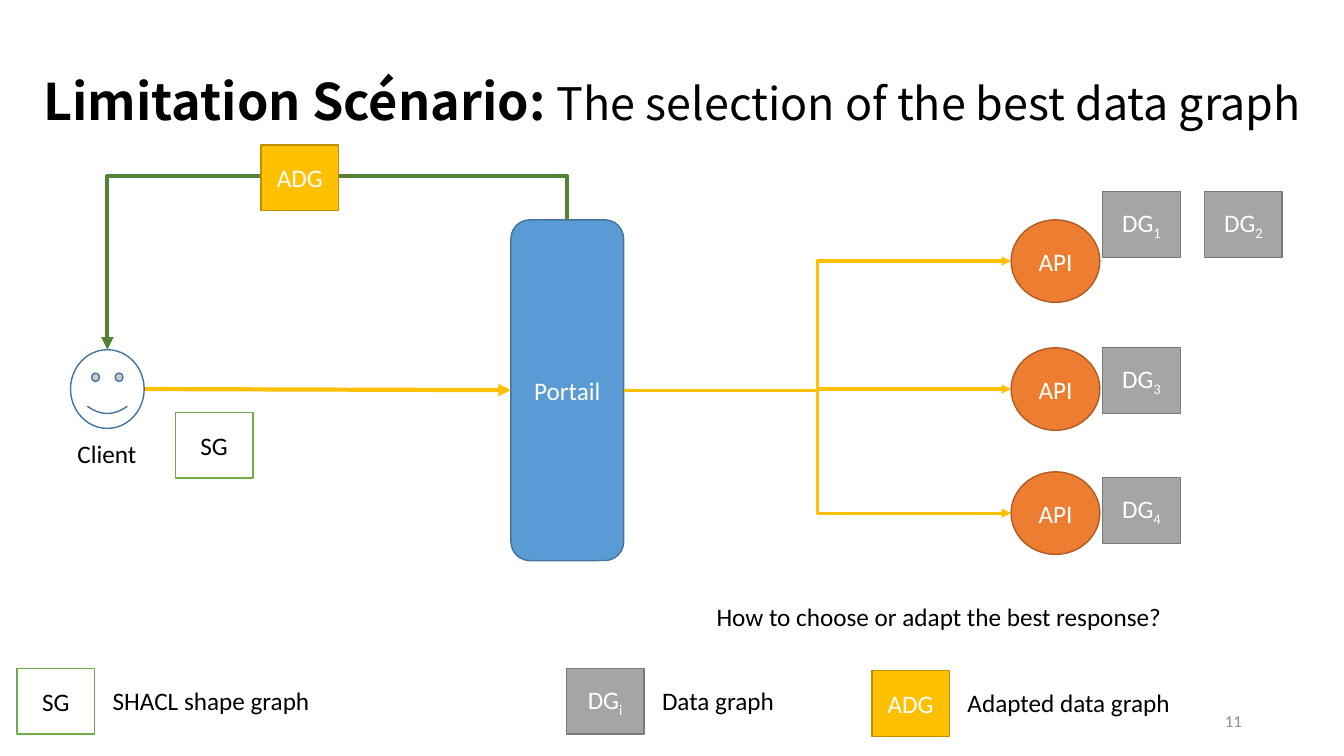
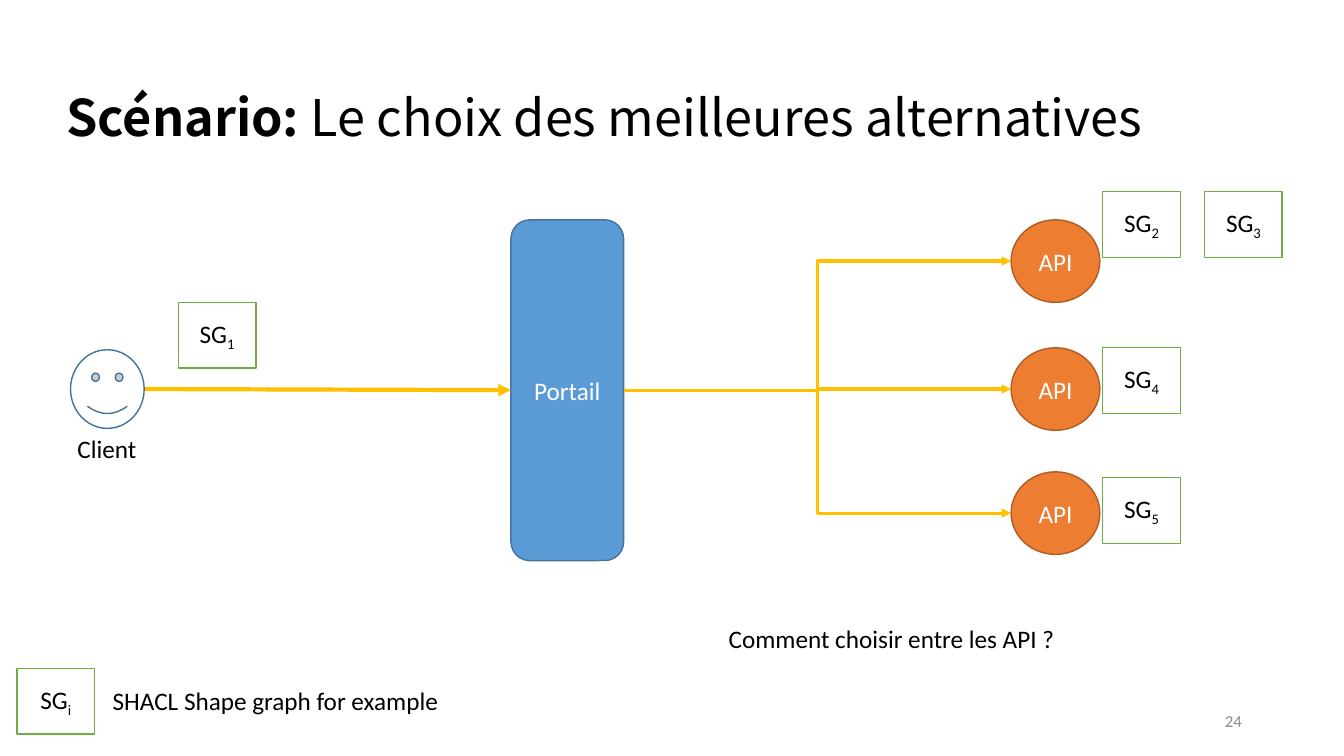
from lxml import etree
from pptx import Presentation
from pptx.dml.color import RGBColor
from pptx.enum.shapes import MSO_CONNECTOR, MSO_SHAPE
from pptx.enum.text import MSO_ANCHOR, MSO_AUTO_SIZE, PP_ALIGN
from pptx.oxml.ns import qn
from pptx.util import Pt

STRAIGHT, ELBOW = MSO_CONNECTOR.STRAIGHT, MSO_CONNECTOR.ELBOW
RECTANGLE, ROUNDED = MSO_SHAPE.RECTANGLE, MSO_SHAPE.ROUNDED_RECTANGLE
ELLIPSE, SMILEY = MSO_SHAPE.OVAL, MSO_SHAPE.SMILEY_FACE
LEFT, CENTER, RIGHT = PP_ALIGN.LEFT, PP_ALIGN.CENTER, PP_ALIGN.RIGHT
TOP, MIDDLE = MSO_ANCHOR.TOP, MSO_ANCHOR.MIDDLE
FIT_SHAPE = MSO_AUTO_SIZE.SHAPE_TO_FIT_TEXT

COLORS = {
    "black": "000000", "white": "FFFFFF", "page_number": "8C8C8C",
    "blue": "5B9BD5", "blue_edge": "43739E",
    "orange": "ED7D31", "orange_edge": "AF5C24",
    "gray": "A5A5A5", "gray_edge": "7A7A7A",
    "gold": "FFC000", "gold_edge": "BD8E00",
    "green_edge": "70AD47", "return": "548235",
}
BODY_FONT, TITLE_FONT = "Calibri", "Noto Sans CJK JP"
CARD_WIDTH, CARD_HEIGHT = 55.4, 47
CARD_STYLES = {  # fill, edge, text
    "SG": ("white", "green_edge", "black"),
    "DG": ("gray", "gray_edge", "white"),
    "ADG": ("gold", "gold_edge", "white"),
}
CLIENT_BOX = (50.4, 249.8, 52.6, 56.2)
PORTAL_BOX = (365, 157, 80.5, 243.4)
API_LEFT, API_WIDTH, API_HEIGHT = 722.2, 63.4, 59
API_TOPS = (157, 248.4, 337)
GRAPH_SPOTS = ((787.7, 136.8), (860.5, 136.8), (787.7, 248.4), (787.7, 341.3))


def rgb(name):
    return RGBColor.from_string(COLORS[name])


def write(shape, spans, size=18, font=BODY_FONT, color="black", align=LEFT,
          anchor=MIDDLE, spacing=None):
    """Fill one paragraph; each span is (text, overrides: size, bold, baseline)."""
    frame = shape.text_frame
    frame.vertical_anchor = anchor
    para = frame.paragraphs[0]
    para.alignment = align
    if spacing:
        para.line_spacing = spacing
    for text, overrides in spans:
        span = para.add_run()
        span.text = text
        span.font.name = font
        span.font.size = Pt(overrides.get("size", size))
        span.font.bold = overrides.get("bold", False)
        span.font.color.rgb = rgb(color)
        if "baseline" in overrides:
            properties = span._r.get_or_add_rPr()
            properties.set("baseline", str(overrides["baseline"]))


def add_text(page, box, spans, **style):
    shape = page.shapes.add_textbox(*map(Pt, box))
    shape.text_frame.word_wrap = True
    write(shape, spans, **style)


def add_label(page, left, top, width, text):
    shape = page.shapes.add_textbox(Pt(left), Pt(top), Pt(width), Pt(29))
    shape.text_frame.word_wrap = False
    shape.text_frame.auto_size = FIT_SHAPE
    write(shape, [(text, {})], anchor=TOP)


def add_block(page, kind, box, fill, edge, spans=(), color="white"):
    shape = page.shapes.add_shape(kind, *map(Pt, box))
    shape.shadow.inherit = False
    shape.fill.solid()
    shape.fill.fore_color.rgb = rgb(fill)
    shape.line.color.rgb = rgb(edge)
    shape.line.width = Pt(1)
    write(shape, spans, color=color, align=CENTER)
    return shape


def add_card(page, left, top, name, index=""):
    fill, edge, color = CARD_STYLES[name]
    spans = [(name, {})]
    if index:
        spans.append((index, {"baseline": -25000}))
    box = (left, top, CARD_WIDTH, CARD_HEIGHT)
    add_block(page, RECTANGLE, box, fill, edge, spans, color)


def add_arrow(page, kind, start, end, color="gold", width=3):
    arrow = page.shapes.add_connector(kind, *map(Pt, (*start, *end)))
    arrow.line.color.rgb = rgb(color)
    arrow.line.width = Pt(width)
    etree.SubElement(arrow.line._get_or_add_ln(), qn("a:tailEnd"), type="triangle")
    etree.SubElement(arrow._element.spPr, qn("a:effectLst"))
    return arrow


def add_return_arrow(page, start, end, rise):
    """Elbow that leaves start upwards by rise, then drops onto end."""
    center_x, center_y = (start[0] + end[0]) / 2, (start[1] + end[1]) / 2
    half_width, half_height = (end[1] - start[1]) / 2, (start[0] - end[0]) / 2
    arrow = add_arrow(page, ELBOW,
                      (center_x + half_width, center_y + half_height),
                      (center_x - half_width, center_y - half_height), "return")
    properties = arrow._element.spPr
    properties.find(qn("a:xfrm")).set("rot", str(270 * 60000))
    guides = properties.find(qn("a:prstGeom")).get_or_add_avLst()
    bend = round(-rise / (2 * half_width) * 100000)
    etree.SubElement(guides, qn("a:gd"), name="adj1", fmla=f"val {bend}")


def add_heading(page, box, bold_text, text, number, size=36):
    add_text(page, box, [(bold_text, {"bold": True}), (text, {"size": size})],
             size=36, font=TITLE_FONT, spacing=0.9)
    add_text(page, (678.2, 500.4, 216, 28.8), [(number, {})],
             size=12, color="page_number", align=RIGHT)


def add_client(page, box, label_gap):
    left, top, width, height = box
    add_block(page, SMILEY, box, "white", "blue_edge")
    add_label(page, left - 2.2, top + height + label_gap, 57, "Client")


def add_network(page, client_box, portal_box):
    """Portal, its three APIs and the arrows that lead from the client to them."""
    portal = add_block(page, ROUNDED, portal_box, "blue", "blue_edge",
                       [("Portail", {})])
    left, top, width, height = portal_box
    exit_point = (left + width, top + height / 2)
    for api_top in API_TOPS:
        add_block(page, ELLIPSE, (API_LEFT, api_top, API_WIDTH, API_HEIGHT),
                  "orange", "orange_edge", [("API", {})])
        add_arrow(page, ELBOW, exit_point,
                  (API_LEFT, api_top + API_HEIGHT / 2), width=2.25)
    client_left, client_top, client_width, client_height = client_box
    request = add_arrow(page, STRAIGHT,
                        (client_left + client_width, client_top + client_height / 2),
                        (left, top + height / 2))
    request.end_connect(portal, 1)


def add_graphs(page, name, indices):
    for (left, top), index in zip(GRAPH_SPOTS, indices):
        add_card(page, left, top, name, index)


def add_legend(page, left, top, name, index, meaning, width):
    add_card(page, left, top, name, index)
    add_label(page, left + 61.2, top + 8.6, width, meaning)


def build_limitation(page):
    add_heading(page, (23.8, 22.3, 920.2, 104.4), "Limitation Scénario: ",
                "The selection of the best data graph", "11", size=32)
    add_network(page, CLIENT_BOX, PORTAL_BOX)
    add_card(page, 125.3, 294.5, "SG")
    add_graphs(page, "DG", "1234")
    add_return_arrow(page, (PORTAL_BOX[0] + PORTAL_BOX[2] / 2, PORTAL_BOX[1]),
                     (CLIENT_BOX[0] + CLIENT_BOX[2] / 2, CLIENT_BOX[1]), 31.2)
    add_card(page, 186.5, 103.5, "ADG")
    add_client(page, CLIENT_BOX, 3.6)
    add_label(page, 504.7, 426.2, 337, "How to choose or adapt the best response?")
    add_legend(page, 12.2, 477.4, "SG", "", "SHACL shape graph", 157)
    add_legend(page, 404.6, 477.4, "DG", "i", "Data graph", 96)
    add_legend(page, 622.8, 479, "ADG", "", "Adapted data graph", 160.5)


def build_choice(page):
    add_heading(page, (40.3, 33.8, 902.2, 104.4), "Scénario: ",
                "Le choix des meilleures alternatives", "24")
    add_network(page, CLIENT_BOX, PORTAL_BOX)
    add_card(page, 127.4, 216, "SG", "1")
    add_graphs(page, "SG", "2345")
    add_client(page, CLIENT_BOX, 0)
    add_label(page, 513.4, 442, 250, "Comment choisir entre les API ?")
    add_legend(page, 12.2, 477.4, "SG", "i", "SHACL Shape graph for example", 250)


def main():
    deck = Presentation()
    deck.slide_width, deck.slide_height = Pt(960), Pt(540)
    blank = deck.slide_layouts[6]
    for build in (build_limitation, build_choice):
        build(deck.slides.add_slide(blank))
    deck.save("out.pptx")


if __name__ == "__main__":
    main()
